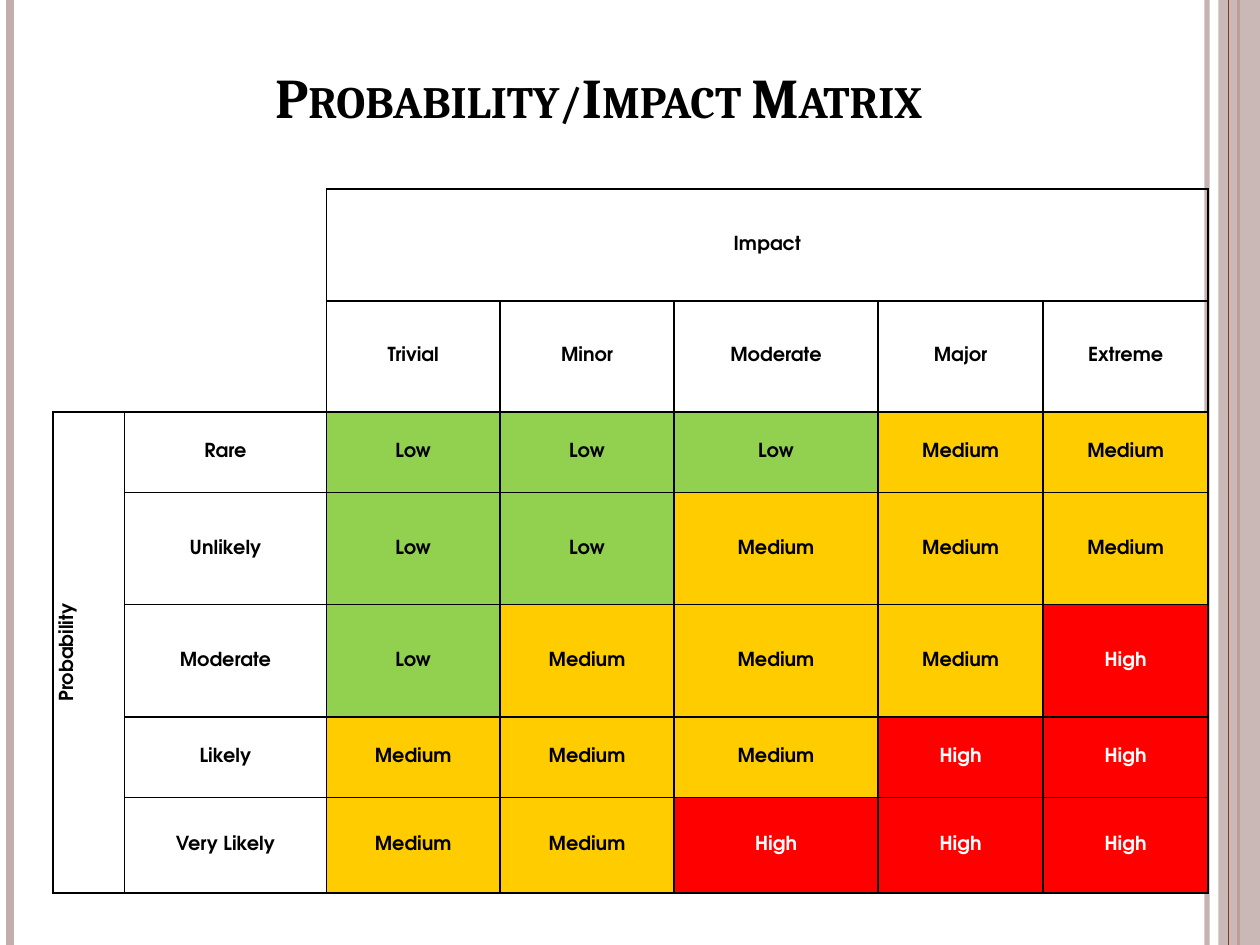
from lxml import etree
from pptx import Presentation
from pptx.dml.color import RGBColor
from pptx.enum.shapes import MSO_CONNECTOR, MSO_SHAPE
from pptx.enum.text import MSO_ANCHOR, PP_ALIGN
from pptx.oxml.ns import qn
from pptx.util import Inches, Pt

STRAIGHT, RECTANGLE = MSO_CONNECTOR.STRAIGHT, MSO_SHAPE.RECTANGLE
MIDDLE, BOTTOM, CENTER = MSO_ANCHOR.MIDDLE, MSO_ANCHOR.BOTTOM, PP_ALIGN.CENTER
BLACK = RGBColor(0x00, 0x00, 0x00)
WHITE = RGBColor(0xFF, 0xFF, 0xFF)
TAUPE = RGBColor(0xC3, 0xAE, 0xAC)
RUST = RGBColor(0x87, 0x36, 0x24)
LEVEL_FILLS = {
    "Low": RGBColor(0x92, 0xD0, 0x50),
    "Medium": RGBColor(0xFF, 0xCC, 0x00),
    "High": RGBColor(0xFF, 0x00, 0x00),
}


def set_alpha(fill, percent):
    color = fill._xPr.find(".//" + qn("a:srgbClr"))
    etree.SubElement(color, qn("a:alpha"), val=str(percent * 1000))


def set_borders(cell, visible_sides):
    """Draw 1 pt black lines on the named sides and none on the others."""
    properties = cell._tc.get_or_add_tcPr()
    for index, side in enumerate("LRTB"):
        line = etree.Element(qn("a:ln" + side), w=str(Pt(1)))
        if side in visible_sides:
            fill = etree.SubElement(line, qn("a:solidFill"))
            etree.SubElement(fill, qn("a:srgbClr"), val=str(BLACK))
        else:
            etree.SubElement(line, qn("a:noFill"))
        properties.insert(index, line)


deck = Presentation()
deck.slide_width, deck.slide_height = Inches(10), Inches(7.5)
page = deck.slides.add_slide(deck.slide_layouts[5])

# Side stripes: a translucent band on the right and vertical lines
band = page.shapes.add_shape(RECTANGLE, Inches(9.67), 0, Inches(0.33), Inches(7.5))
band.shadow.inherit = False
band.fill.solid()
band.fill.fore_color.rgb = TAUPE
set_alpha(band.fill, 87)
band.line.fill.background()

for x, color, width, opacity in [
    (9.58, TAUPE, 3, 93),
    (0.08, TAUPE, 4.5, 100),
    (9.83, RUST, 1.5, 100),
    (9.75, RUST, 0.75, 100),
]:
    stripe = page.shapes.add_connector(
        STRAIGHT, Inches(x), 0, Inches(x), Inches(7.5))
    stripe.line.color.rgb = color
    stripe.line.width = Pt(width)
    if opacity < 100:
        set_alpha(stripe.line.fill, opacity)
    etree.SubElement(stripe._element.spPr, qn("a:effectLst"))
    # Send behind the band and the title
    page.shapes._spTree.insert(2, stripe._element)
# The thin rust line lies over the band
page.shapes._spTree.append(stripe._element)

# Title
title = page.shapes.title
title.left, title.top = Inches(0.5), Inches(-0.17)
title.width, title.height = Inches(8.5), Inches(1.25)
title.text_frame.text = "Probability/Impact Matrix"
title.text_frame.vertical_anchor = BOTTOM
para = title.text_frame.paragraphs[0]
para.alignment = CENTER
span = para.runs[0]
span.font.name, span.font.size, span.font.bold = "Cambria", Pt(32), True
span.font.color.rgb = BLACK
span.font._element.set("cap", "small")

# Matrix
COLUMN_WIDTHS = [0.57, 1.6, 1.38, 1.38, 1.62, 1.31, 1.31]
ROW_HEIGHTS = [0.89, 0.88, 0.64, 0.89, 0.89, 0.64, 0.76]
L, M, H = LEVEL_FILLS
ROWS = [
    ["", "", "Impact", "", "", "", ""],
    ["", "", "Trivial", "Minor", "Moderate", "Major", "Extreme"],
    ["Probability", "Rare", L, L, L, M, M],
    ["", "Unlikely", L, L, M, M, M],
    ["", "Moderate", L, M, M, M, H],
    ["", "Likely", M, M, M, H, H],
    ["", "Very Likely", M, M, H, H, H],
]
# The blank corner only shares edges with the labelled cells
CORNER_BORDERS = {(0, 0): "", (0, 1): "R", (1, 0): "B", (1, 1): "RB"}

matrix = page.shapes.add_table(
    len(ROWS), len(COLUMN_WIDTHS), Inches(0.42), Inches(1.5),
    Inches(sum(COLUMN_WIDTHS)), Inches(sum(ROW_HEIGHTS))).table
matrix.first_row = matrix.horz_banding = False
for column, width in zip(matrix.columns, COLUMN_WIDTHS):
    column.width = Inches(width)
for row, height in zip(matrix.rows, ROW_HEIGHTS):
    row.height = Inches(height)

for r, labels in enumerate(ROWS):
    for c, label in enumerate(labels):
        cell = matrix.cell(r, c)
        set_borders(cell, CORNER_BORDERS.get((r, c), "LRTB"))
        if label in LEVEL_FILLS:
            cell.fill.solid()
            cell.fill.fore_color.rgb = LEVEL_FILLS[label]
        else:
            cell.fill.background()
        if not label:
            continue
        cell.text = label
        cell.vertical_anchor = MIDDLE
        para = cell.text_frame.paragraphs[0]
        para.alignment = CENTER
        para.font.name, para.font.size = "TeX Gyre Adventor", Pt(11)
        para.font.bold = True
        para.font.color.rgb = WHITE if label == H else BLACK

# Spanning headings
matrix.cell(0, 2).merge(matrix.cell(0, 6))
matrix.cell(2, 0).merge(matrix.cell(6, 0))
matrix.cell(2, 0)._tc.get_or_add_tcPr().set("vert", "vert270")

deck.save("out.pptx")
